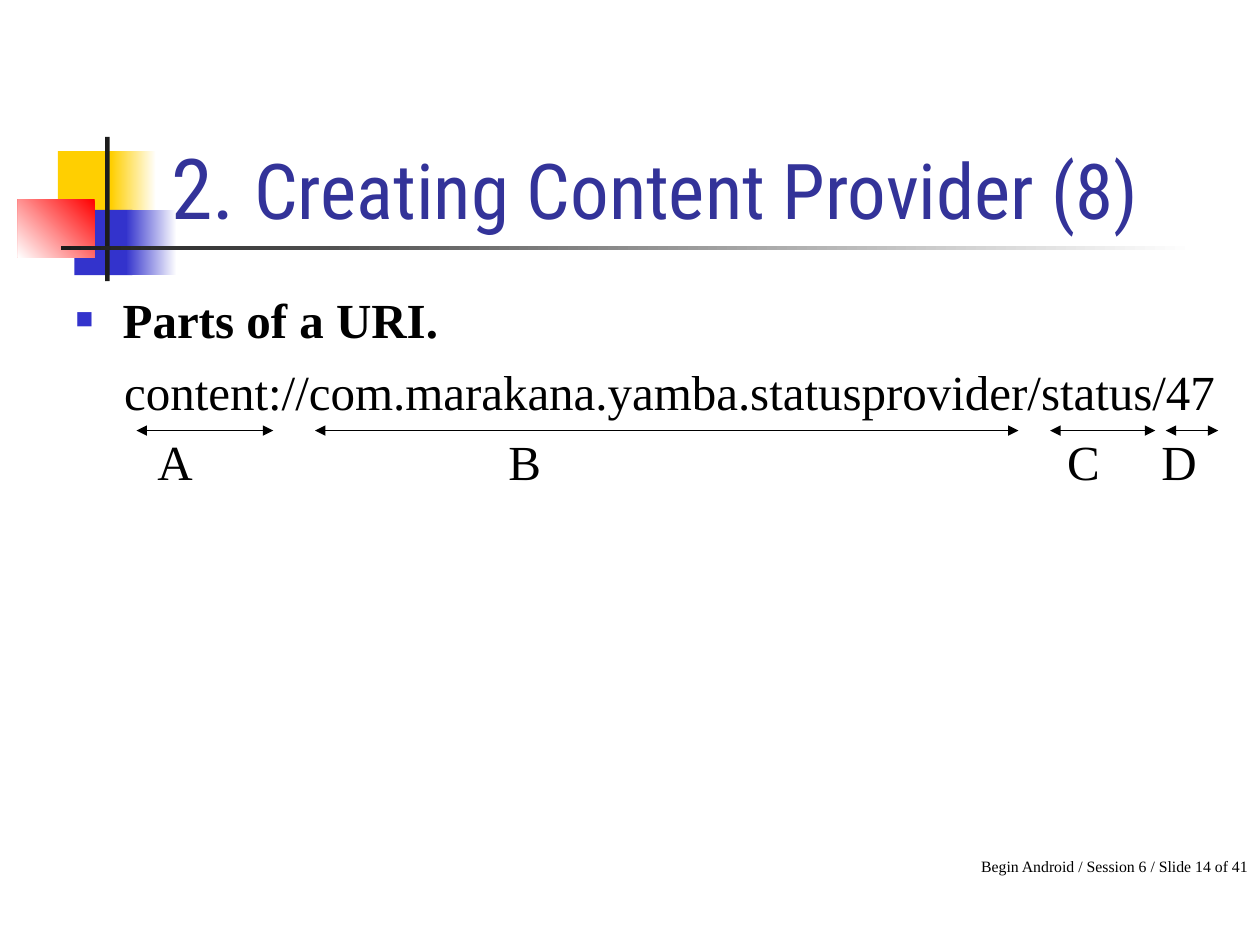
import pptx
import pptx.util
import pptx.dml.color
import pptx.enum.shapes
import pptx.enum.text
import pptx.oxml.ns
import lxml.etree

Cm = pptx.util.Cm
Pt = pptx.util.Pt
RGBColor = pptx.dml.color.RGBColor
Align = pptx.enum.text.PP_ALIGN
qn = pptx.oxml.ns.qn

WHITE = RGBColor(0xFF, 0xFF, 0xFF)
BLACK = RGBColor(0, 0, 0)
YELLOW = RGBColor(0xFF, 0xCF, 0x01)
BLUE = RGBColor(0x33, 0x33, 0xCC)
RED = RGBColor(0xFF, 0, 0)
CHARCOAL = RGBColor(0x1C, 0x1C, 0x1C)
TITLE_BLUE = RGBColor(0x33, 0x33, 0x99)
TITLE_FONT = "Roboto Condensed"
BODY_FONT = "Times New Roman"

DECORATION = [
    (1.17, 3.05, 1.22, 1.32, YELLOW, None, 0),
    (2.24, 3.05, 0.91, 1.32, WHITE, YELLOW, 180),
    (1.5, 4.23, 1.17, 1.32, BLUE, None, 0),
    (2.54, 4.23, 1.02, 1.32, WHITE, BLUE, 180),
    (0.36, 4.02, 1.55, 1.17, RED, WHITE, 225),
    (2.12, 2.76, 0.09, 2.91, CHARCOAL, None, 0),
    (1.23, 4.95, 22.86, 0.09, WHITE, CHARCOAL, 180),
]
URI_PARTS = [
    ("A", 2.75, 5.51, 3.53),
    ("B", 6.35, 20.53, 10.58),
    ("C", 21.17, 23.29, 21.84),
    ("D", 23.5, 24.56, 23.77),
]
SPAN_TOP = 8.68
LABEL_TOP = 8.58
LABEL_WIDTH = 1.5


def place(shape, left, top, width, height):
    shape.left, shape.top = Cm(left), Cm(top)
    shape.width, shape.height = Cm(width), Cm(height)


def style(font, name, size, color, bold=False):
    font.name, font.size, font.bold = name, Pt(size), bold
    font.color.rgb = color


def add_block(slide, left, top, width, height, start, end, angle):
    block = slide.shapes.add_shape(
        pptx.enum.shapes.MSO_SHAPE.RECTANGLE,
        Cm(left), Cm(top), Cm(width), Cm(height))
    block.shadow.inherit = False
    block.line.fill.background()
    if end is None:
        block.fill.solid()
        block.fill.fore_color.rgb = start
        return
    block.fill.gradient()
    block.fill.gradient_angle = angle
    for stop, position, color in zip(block.fill.gradient_stops, (0, 1), (start, end)):
        stop.position = position
        stop.color.rgb = color


def add_title(slide):
    title = slide.shapes.title
    slide.shapes._spTree.append(title._element)
    place(title, 3.2, 1.72, 21.64, 3.18)
    frame = title.text_frame
    frame.auto_size = pptx.enum.text.MSO_AUTO_SIZE.NONE
    frame.vertical_anchor = pptx.enum.text.MSO_ANCHOR.BOTTOM
    heading = frame.paragraphs[0]
    heading.alignment = Align.LEFT
    for words, size in (("2. ", 48), ("Creating Content Provider (8)", 44)):
        run = heading.add_run()
        run.text = words
        style(run.font, TITLE_FONT, size, TITLE_BLUE)


def set_indent(paragraph, margin, first_line):
    properties = paragraph._p.get_or_add_pPr()
    properties.set("marL", str(Cm(margin)))
    properties.set("indent", str(Cm(first_line)))
    return properties


def add_bullet(properties):
    color = lxml.etree.SubElement(properties, qn("a:buClr"))
    lxml.etree.SubElement(color, qn("a:srgbClr"), val=str(BLUE))
    lxml.etree.SubElement(properties, qn("a:buSzPct"), val="60000")
    lxml.etree.SubElement(properties, qn("a:buChar"), char="■")


def add_body(slide):
    body = slide.placeholders[1]
    slide.shapes._spTree.append(body._element)
    place(body, 1.27, 5.7, 23.5, 11)
    frame = body.text_frame
    frame.auto_size = pptx.enum.text.MSO_AUTO_SIZE.NONE
    frame.text = ("Parts of a URI.\n"
                  "content://com.marakana.yamba.statusprovider/status/47")
    heading, uri = frame.paragraphs
    heading.space_before = Pt(0)
    uri.space_before = Pt(7.5)
    add_bullet(set_indent(heading, 0.95, -0.95))
    lxml.etree.SubElement(set_indent(uri, 0.98, 0), qn("a:buNone"))
    style(heading.runs[0].font, BODY_FONT, 28, BLACK, True)
    style(uri.runs[0].font, BODY_FONT, 28, BLACK)


def add_span(slide, start, end):
    span = slide.shapes.add_connector(
        pptx.enum.shapes.MSO_CONNECTOR.STRAIGHT,
        Cm(start), Cm(SPAN_TOP), Cm(end), Cm(SPAN_TOP))
    span.line.color.rgb = BLACK
    span.line.width = Pt(0.75)
    outline = span.line._get_or_add_ln()
    for tip in ("a:headEnd", "a:tailEnd"):
        lxml.etree.SubElement(outline, qn(tip), type="triangle")
    lxml.etree.SubElement(span._element.spPr, qn("a:effectLst"))


def add_text(slide, words, left, top, width, height, size, alignment):
    box = slide.shapes.add_textbox(Cm(left), Cm(top), Cm(width), Cm(height))
    frame = box.text_frame
    frame.word_wrap = True
    frame.text = words
    paragraph = frame.paragraphs[0]
    paragraph.alignment = alignment
    style(paragraph.runs[0].font, BODY_FONT, size, BLACK)


def main():
    deck = pptx.Presentation()
    deck.slide_width, deck.slide_height = Cm(25.4), Cm(19.05)
    slide = deck.slides.add_slide(deck.slide_layouts[1])
    for block in DECORATION:
        add_block(slide, *block)
    add_title(slide)
    add_body(slide)
    for letter, start, end, center in URI_PARTS:
        add_span(slide, start, end)
        add_text(slide, letter, center - LABEL_WIDTH / 2, LABEL_TOP,
                 LABEL_WIDTH, 1.4, 28, Align.CENTER)
    add_text(slide, "Begin Android / Session 6 / Slide 14 of 41",
             12.9, 17.15, 12.5, 0.64, 9, Align.RIGHT)
    deck.save("out.pptx")


if __name__ == "__main__":
    main()
